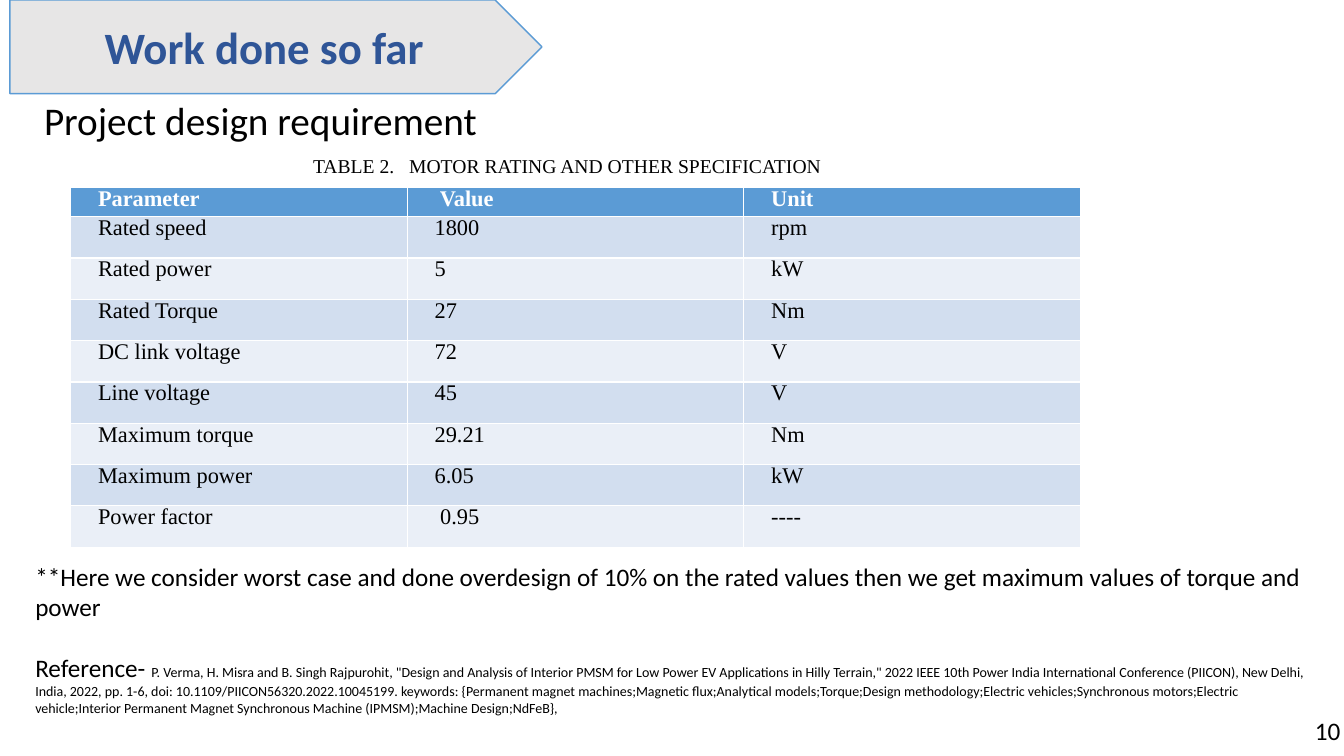
from lxml import etree
from pptx import Presentation
from pptx import util as u
from pptx.dml.color import RGBColor
from pptx.enum import shapes, text
from pptx.oxml.ns import qn

COLORS = {
    "black": "000000", "white": "FFFFFF", "heading": "2F5597",
    "banner": "E7E6E6", "accent": "5B9BD5",
    "band_dark": "D2DEEF", "band_light": "EAEFF7",
}
SANS, SERIF = "Calibri", "Times New Roman"
SPECIFICATIONS = [
    ("Parameter", " Value", "Unit"),
    ("Rated speed", "1800", "rpm"),
    ("Rated power", "5", "kW"),
    ("Rated Torque", "27", "Nm"),
    ("DC link voltage", "72", "V"),
    ("Line voltage", "45", "V"),
    ("Maximum torque", "29.21", "Nm"),
    ("Maximum power", "6.05", "kW"),
    ("Power factor", " 0.95", "----"),
]
NOTE = ("**Here we consider worst case and done overdesign of 10% on the rated "
        "values then we get maximum values of torque and power")
REFERENCE = (
    'P. Verma, H. Misra and B. Singh Rajpurohit, "Design and Analysis of Interior PMSM '
    'for Low Power EV Applications in Hilly Terrain," 2022 IEEE 10th Power India '
    "International Conference (PIICON), New Delhi, India, 2022, pp. 1-6, doi: "
    "10.1109/PIICON56320.2022.10045199. keywords: {Permanent magnet machines;Magnetic "
    "flux;Analytical models;Torque;Design methodology;Electric vehicles;Synchronous "
    "motors;Electric vehicle;Interior Permanent Magnet Synchronous Machine "
    "(IPMSM);Machine Design;NdFeB},")


def rgb(name):
    return RGBColor.from_string(COLORS[name])


def write(paragraph, words, size=18, font=SANS, color="black", bold=False, align=None):
    run = paragraph.add_run()
    run.text = words
    run.font.size = u.Pt(size)
    run.font.name = font
    run.font.bold = bold
    run.font.color.rgb = rgb(color)
    if align is not None:
        paragraph.alignment = align


def add_text_frame(slide, left, top, width, height):
    box = slide.shapes.add_textbox(u.Cm(left), u.Cm(top), u.Cm(width), u.Cm(height))
    box.text_frame.word_wrap = True
    return box.text_frame


def add_banner(slide, left, top, width, height):
    banner = slide.shapes.add_shape(shapes.MSO_SHAPE.PENTAGON, u.Cm(left), u.Cm(top),
                                    u.Cm(width), u.Cm(height))
    banner.shadow.inherit = False
    banner.fill.solid()
    banner.fill.fore_color.rgb = rgb("banner")
    banner.line.color.rgb = rgb("accent")
    banner.line.width = u.Pt(1)
    banner.text_frame.vertical_anchor = text.MSO_ANCHOR.MIDDLE
    write(banner.text_frame.paragraphs[0], "Work done so far", size=32,
          color="heading", bold=True, align=text.PP_ALIGN.CENTER)


def add_caption(slide, left, top, width, height):
    """Table number and table title, set apart by a tab stop."""
    paragraph = add_text_frame(slide, left, top, width, height).paragraphs[0]
    properties = paragraph._p.get_or_add_pPr()
    stops = etree.SubElement(properties, qn("a:tabLst"))
    etree.SubElement(stops, qn("a:tab"), pos=str(u.Cm(2.42)), algn="l")
    write(paragraph, "TABLE 2.\tMOTOR RATING AND OTHER SPECIFICATION", size=14, font=SERIF)


def add_specification_table(slide, left, top, width, height, header_height=0.74):
    row_count, column_count = len(SPECIFICATIONS), len(SPECIFICATIONS[0])
    table = slide.shapes.add_table(row_count, column_count, u.Cm(left), u.Cm(top),
                                   u.Cm(width), u.Cm(height)).table
    for column in table.columns:
        column.width = u.Cm(width / column_count)
    body_height = (height - header_height) / (row_count - 1)
    for index, values in enumerate(SPECIFICATIONS):
        header = index == 0
        band = "accent" if header else "band_dark" if index % 2 else "band_light"
        table.rows[index].height = u.Cm(header_height if header else body_height)
        for cell, value in zip(table.rows[index].cells, values):
            cell.fill.solid()
            cell.fill.fore_color.rgb = rgb(band)
            cell.margin_left = cell.margin_right = u.Cm(0.18)
            cell.margin_top = cell.margin_bottom = 0
            paragraph = cell.text_frame.paragraphs[0]
            paragraph.line_spacing = 0.95
            paragraph.space_after = u.Pt(6)
            paragraph._p.get_or_add_pPr().set("indent", str(u.Cm(0.51)))
            write(paragraph, value, size=16, font=SERIF, bold=header,
                  color="white" if header else "black", align=text.PP_ALIGN.JUSTIFY)


def add_notes_and_reference(slide, left, top, width, height):
    frame = add_text_frame(slide, left, top, width, height)
    write(frame.paragraphs[0], NOTE)
    paragraph = frame.add_paragraph()
    paragraph.space_before = u.Pt(22)
    write(paragraph, "Reference- ")
    write(paragraph, REFERENCE, size=10)


def add_page_number(slide, left, top, width, height):
    frame = add_text_frame(slide, left, top, width, height)
    frame.margin_right = 0
    write(frame.paragraphs[0], "10")


def main():
    presentation = Presentation()
    presentation.slide_width, presentation.slide_height = u.Cm(33.87), u.Cm(19.05)
    slide = presentation.slides.add_slide(presentation.slide_layouts[6])
    add_specification_table(slide, 1.78, 4.72, 25.45, 9.07)
    add_notes_and_reference(slide, 0.64, 14.02, 32.69, 4.4)
    add_caption(slide, 7.64, 3.76, 13.8, 0.86)
    add_banner(slide, 0.25, 0, 13.41, 2.36)
    heading = add_text_frame(slide, 0.86, 2.31, 11.7, 1.45)
    write(heading.paragraphs[0], "Project design requirement", size=28)
    add_page_number(slide, 32.89, 17.91, 0.97, 1.02)
    presentation.save("out.pptx")


if __name__ == "__main__":
    main()
